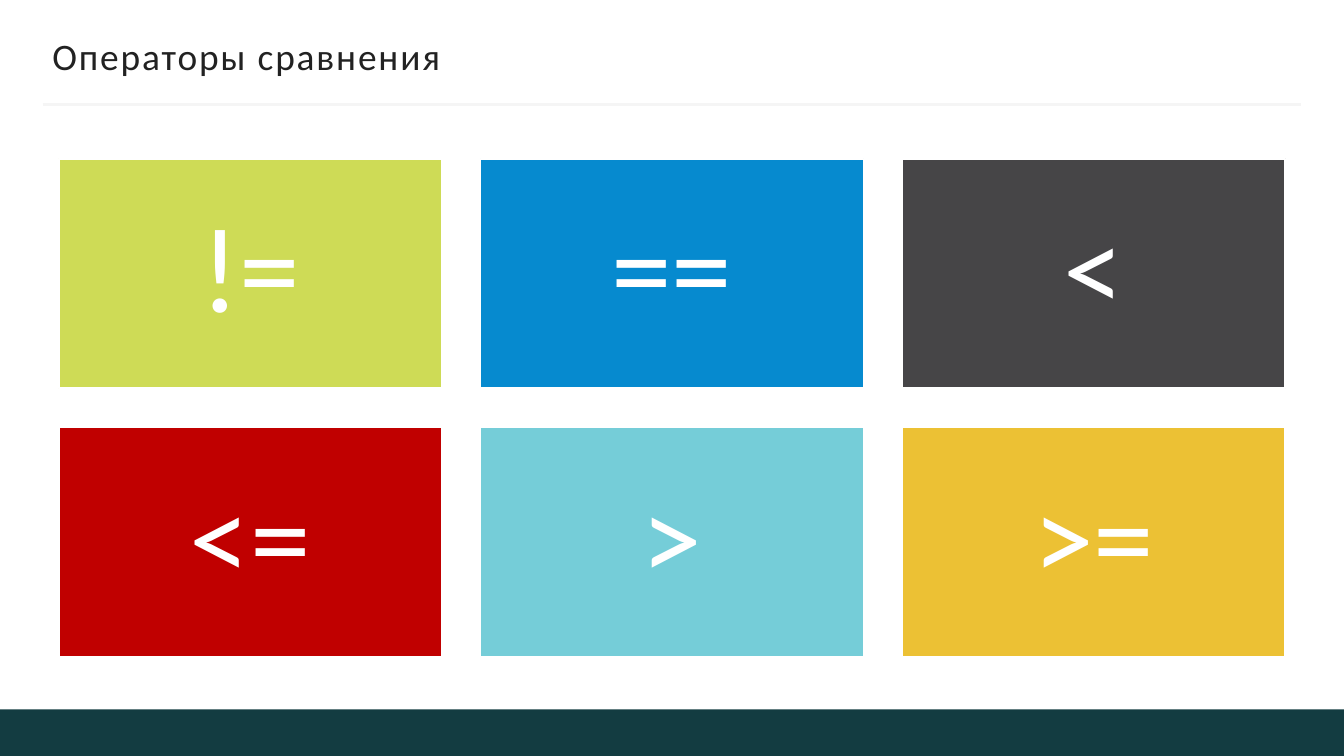
import dataclasses

import pptx
import pptx.dml.color
import pptx.enum.shapes
import pptx.enum.text
import pptx.oxml
import pptx.oxml.ns
import pptx.util

Pt = pptx.util.Pt
RECTANGLE = pptx.enum.shapes.MSO_SHAPE.RECTANGLE
FONT = "Calibri"
WHITE = "FFFFFF"

SLIDE_WIDTH, SLIDE_HEIGHT = 720, 405
COLUMNS = 3
TILE_WIDTH, TILE_HEIGHT, TILE_GAP = 205.2, 123, 20.8
TILES_TOP = 85
TILES_LEFT = (SLIDE_WIDTH - COLUMNS * TILE_WIDTH - (COLUMNS - 1) * TILE_GAP) / 2
TILE_INSET = 19.4


@dataclasses.dataclass
class OperatorTile:
    operator: str
    fill: str


TILES = [
    OperatorTile("!=", "CEDB56"),
    OperatorTile("==", "068ACF"),
    OperatorTile("<", "464547"),
    OperatorTile("<=", "C00000"),
    OperatorTile(">", "75CDD8"),
    OperatorTile(">=", "ECC134"),
]


def color(value: str) -> pptx.dml.color.RGBColor:
    return pptx.dml.color.RGBColor.from_string(value)


def add_rectangle(slide, left: float, top: float, width: float, height: float, fill: str):
    shape = slide.shapes.add_shape(RECTANGLE, Pt(left), Pt(top), Pt(width), Pt(height))
    shape.shadow.inherit = False
    shape.fill.solid()
    shape.fill.fore_color.rgb = color(fill)
    shape.line.fill.background()
    return shape


def format_text(text_frame, size: float, text_color: str, alignment,
                horizontal_inset: float, vertical_inset: float) -> None:
    text_frame.vertical_anchor = pptx.enum.text.MSO_ANCHOR.MIDDLE
    text_frame.margin_left = text_frame.margin_right = Pt(horizontal_inset)
    text_frame.margin_top = text_frame.margin_bottom = Pt(vertical_inset)
    paragraph = text_frame.paragraphs[0]
    paragraph.alignment = alignment
    font = paragraph.runs[0].font
    font.name = FONT
    font.size = Pt(size)
    font.color.rgb = color(text_color)


def add_title(slide, text: str) -> None:
    title = slide.shapes.title
    title.left, title.top, title.width, title.height = Pt(28), Pt(18), Pt(664), Pt(24)
    text_frame = title.text_frame
    text_frame.text = text
    text_frame.word_wrap = False
    text_frame.auto_size = pptx.enum.text.MSO_AUTO_SIZE.NONE
    format_text(text_frame, 20, "222222", pptx.enum.text.PP_ALIGN.LEFT, 0, 3.6)
    # Letter spacing of one point
    text_frame.paragraphs[0].runs[0].font._element.set("spc", "100")


def add_divider(slide) -> None:
    line = slide.shapes.add_connector(
        pptx.enum.shapes.MSO_CONNECTOR.STRAIGHT, Pt(23), Pt(56.2), Pt(697), Pt(56.2))
    line.line.color.rgb = color("F5F5F5")
    line.line.width = Pt(1.5)
    line._element.spPr.append(pptx.oxml.parse_xml(
        f"<a:effectLst {pptx.oxml.ns.nsdecls('a')}/>"))


def add_tile(slide, tile: OperatorTile, index: int) -> None:
    row, column = divmod(index, COLUMNS)
    left = TILES_LEFT + column * (TILE_WIDTH + TILE_GAP)
    top = TILES_TOP + row * (TILE_HEIGHT + TILE_GAP)
    shape = add_rectangle(slide, left, top, TILE_WIDTH, TILE_HEIGHT, tile.fill)
    shape.line.color.rgb = color(WHITE)
    shape.line.width = Pt(1)
    text_frame = shape.text_frame
    text_frame.text = tile.operator
    text_frame.word_wrap = True
    format_text(text_frame, 65, WHITE, pptx.enum.text.PP_ALIGN.CENTER,
                TILE_INSET, TILE_INSET)
    text_frame.paragraphs[0].line_spacing = 0.9


presentation = pptx.Presentation()
presentation.slide_width = Pt(SLIDE_WIDTH)
presentation.slide_height = Pt(SLIDE_HEIGHT)
slide = presentation.slides.add_slide(presentation.slide_layouts.get_by_name("Title Only"))

# Footer band, heading and divider
add_rectangle(slide, 0, 380, SLIDE_WIDTH, 25, "133C41")
add_title(slide, "Операторы сравнения")
add_divider(slide)

# Grid of comparison operators
for index, tile in enumerate(TILES):
    add_tile(slide, tile, index)

presentation.save("out.pptx")
